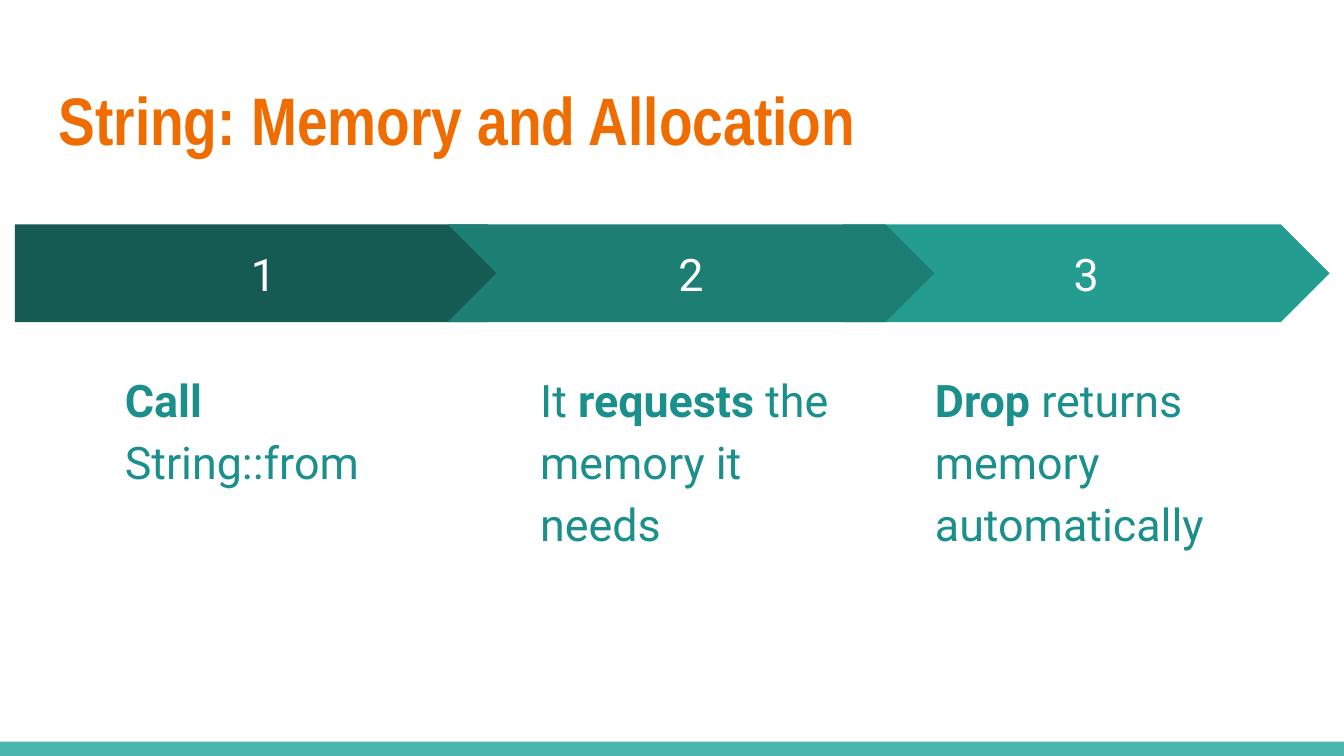
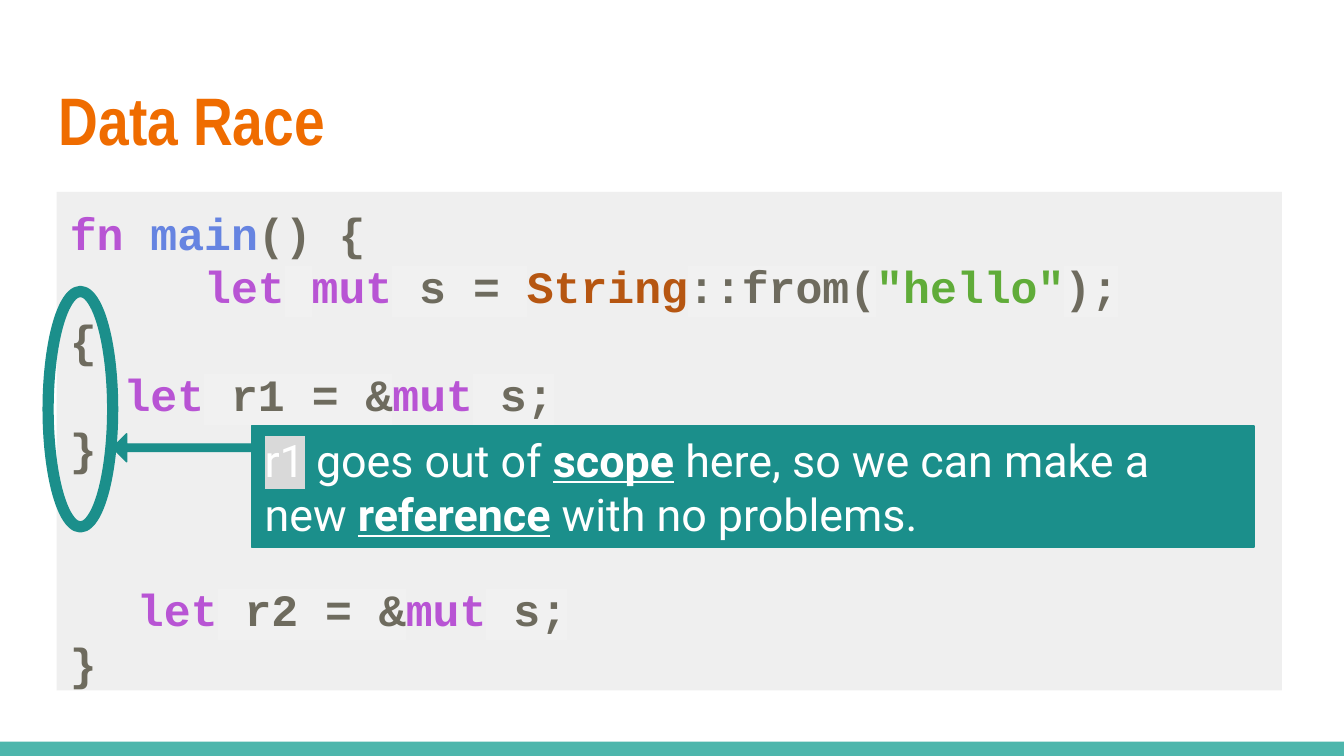
from dataclasses import dataclass, replace
from typing import Optional

import pptx
import pptx.dml.color
import pptx.enum.shapes
import pptx.enum.text
import pptx.oxml.ns
import pptx.util
from lxml import etree

Cm = pptx.util.Cm
Pt = pptx.util.Pt
Shape = pptx.enum.shapes.MSO_SHAPE
Align = pptx.enum.text.PP_ALIGN
Anchor = pptx.enum.text.MSO_ANCHOR
qn = pptx.oxml.ns.qn


@dataclass(frozen=True)
class Theme:
    title: str = "EF6C00"
    band: str = "4DB6AC"
    teal: str = "1B8F8B"
    white: str = "FFFFFF"
    steps: tuple = ("155B54", "1D7E74", "249C90")
    code_panel: str = "EFEFEF"
    code_plain: str = "6E6B5E"
    code_keyword: str = "B854D4"
    code_function: str = "6684E1"
    code_type: str = "B65611"
    code_string: str = "60AC39"
    code_mark: str = "F1F1F1"
    name_mark: str = "D9D9D9"
    title_font: str = "Arial Narrow"
    body_font: str = "Roboto"
    code_font: str = "Courier New"
    title_size: int = 36
    body_size: int = 24


THEME = Theme()


@dataclass(frozen=True)
class Box:
    left: float
    top: float
    width: float
    height: float

    def lengths(self) -> tuple:
        return Cm(self.left), Cm(self.top), Cm(self.width), Cm(self.height)


@dataclass(frozen=True)
class Span:
    text: str
    color: Optional[str] = None
    bold: Optional[bool] = None
    underline: bool = False
    mark: Optional[str] = None


@dataclass(frozen=True)
class Line:
    spans: tuple
    first_indent: float = 0
    tab_stop: float = 0
    space_before: float = 0


@dataclass(frozen=True)
class Step:
    number: str
    kind: Shape
    fill: str
    arrow_left: float
    arrow_width: float
    text_left: float
    spans: tuple
    align: Align = Align.LEFT


PAGE_WIDTH, PAGE_HEIGHT = 25.4, 14.29
BAND = Box(0, 14.02, PAGE_WIDTH, 0.27)
TITLE = Box(0.86, 1.24, 23.67, 1.96)
INSET = 0.25


def rgb(color: str) -> pptx.dml.color.RGBColor:
    return pptx.dml.color.RGBColor.from_string(color)


def add_child(parent, tag: str, **attributes):
    return etree.SubElement(parent, qn(tag), **attributes)


def write_text(shape, lines, *, font=THEME.body_font, size=THEME.body_size,
               color=THEME.white, bold=False, align=Align.LEFT,
               anchor=Anchor.TOP, line_spacing=None) -> None:
    frame = shape.text_frame
    frame.word_wrap = True
    frame.vertical_anchor = anchor
    frame.margin_left = frame.margin_right = Cm(INSET)
    frame.margin_top = frame.margin_bottom = Cm(INSET)
    for index, line in enumerate(lines):
        paragraph = frame.add_paragraph() if index else frame.paragraphs[0]
        properties = paragraph._p.get_or_add_pPr()
        if line.tab_stop:
            stops = add_child(properties, "a:tabLst")
            add_child(stops, "a:tab", pos=str(Cm(line.tab_stop)), algn="l")
        if line.first_indent:
            properties.set("marL", "0")
            properties.set("indent", str(Cm(line.first_indent)))
        if line.space_before:
            paragraph.space_before = Pt(line.space_before)
        if line_spacing:
            paragraph.line_spacing = line_spacing
        paragraph.alignment = align
        for span in line.spans:
            run = paragraph.add_run()
            run.text = span.text
            run.font.name = font
            run.font.size = Pt(size)
            run.font.bold = bold if span.bold is None else span.bold
            run.font.underline = span.underline
            run.font.color.rgb = rgb(span.color or color)
            if span.mark:
                highlight = etree.Element(qn("a:highlight"))
                add_child(highlight, "a:srgbClr", val=span.mark)
                run._r.rPr.find(qn("a:solidFill")).addnext(highlight)


def add_figure(slide, kind: Shape, box: Box, *, fill: Optional[str] = None,
               line: Optional[str] = None, line_width: float = 0.75,
               adjustments: tuple = ()):
    shape = slide.shapes.add_shape(kind, *box.lengths())
    shape.shadow.inherit = False
    if fill:
        shape.fill.solid()
        shape.fill.fore_color.rgb = rgb(fill)
    else:
        shape.fill.background()
    if line:
        shape.line.color.rgb = rgb(line)
        shape.line.width = Pt(line_width)
    else:
        shape.line.fill.background()
    for index, value in enumerate(adjustments):
        shape.adjustments[index] = value
    return shape


def add_text(slide, box: Box, spans: tuple, **text_format) -> None:
    write_text(slide.shapes.add_textbox(*box.lengths()), [Line(spans)], **text_format)


def add_titled_slide(presentation, title: str):
    slide = presentation.slides.add_slide(presentation.slide_layouts[6])
    add_figure(slide, Shape.RECTANGLE, BAND, fill=THEME.band)
    add_text(slide, TITLE, (Span(title),), font=THEME.title_font,
             size=THEME.title_size, color=THEME.title, bold=True)
    return slide


def add_step(slide, step: Step) -> None:
    arrow = add_figure(slide, step.kind, Box(step.arrow_left, 4.24, step.arrow_width, 1.85),
                       fill=step.fill, adjustments=(0.5,))
    write_text(arrow, [Line((Span(step.number),))], align=Align.CENTER,
               anchor=Anchor.MIDDLE)
    add_text(slide, Box(step.text_left, 6.65, 6.22, 7.26), step.spans,
             color=THEME.teal, align=step.align, line_spacing=1.15)


def build_allocation_slide(presentation) -> None:
    slide = add_titled_slide(presentation, "String: Memory and Allocation")
    call = Step("1", Shape.PENTAGON, THEME.steps[0], 0.28, 9.86, 2.11,
                (Span("Call ", bold=True), Span("String::from")), Align.JUSTIFY)
    request = Step("2", Shape.CHEVRON, THEME.steps[1], 8.46, 9.2, 9.96,
                   (Span("It "), Span("requests ", bold=True),
                    Span("the memory it needs")))
    drop = Step("3", Shape.CHEVRON, THEME.steps[2], 15.93, 9.2, 17.42,
                (Span("Drop ", bold=True), Span("returns memory automatically")))
    for step in (drop, call, request):
        add_step(slide, step)


def keyword(text: str) -> Span:
    return Span(text, THEME.code_keyword)


def marked(text: str) -> Span:
    return Span(text, mark=THEME.code_mark)


def borrow(name: str) -> tuple:
    return keyword("let"), marked(f" {name} = &"), keyword("mut"), marked(" s;")


def build_data_race_slide(presentation) -> None:
    slide = add_titled_slide(presentation, "Data Race")
    code = [
        Line((keyword("fn "), Span("main", THEME.code_function), Span("() {"))),
        Line((Span(" \t"), keyword("let"), marked(" "), keyword("mut"), marked(" s = "),
              Span("String", THEME.code_type), marked("::from("),
              Span('"hello"', THEME.code_string), marked(");")), tab_stop=2.54),
        Line((Span("{"),)),
        Line((Span("  "), *borrow("r1"))),
        Line((Span("}"),)),
        Line(borrow("r2"), first_indent=1.27, space_before=57.6),
        Line((Span("}"),)),
    ]
    panel = add_figure(slide, Shape.RECTANGLE, Box(1.07, 3.63, 23.16, 9.42),
                       fill=THEME.code_panel)
    write_text(panel, code, font=THEME.code_font, color=THEME.code_plain, bold=True)

    callout = add_figure(slide, Shape.RECTANGLE, Box(4.75, 8.05, 18.95, 2.29),
                         fill=THEME.teal, line=THEME.teal)
    strong = Span("scope", bold=True, underline=True)
    write_text(callout, [Line((
        Span("r1", mark=THEME.name_mark), Span(" goes out of "), strong,
        Span(" here, so we can make a new "), replace(strong, text="reference"),
        Span(" with no problems.")))], anchor=Anchor.MIDDLE)
    add_figure(slide, Shape.LEFT_ARROW, Box(2.13, 8.2, 2.77, 0.53),
               fill=THEME.teal, line=THEME.teal, adjustments=(0.27, 0.5))
    add_figure(slide, Shape.OVAL, Box(0.91, 5.51, 1.22, 4.45),
               line=THEME.teal, line_width=6)


def main() -> None:
    presentation = pptx.Presentation()
    presentation.slide_width = Cm(PAGE_WIDTH)
    presentation.slide_height = Cm(PAGE_HEIGHT)
    build_allocation_slide(presentation)
    build_data_race_slide(presentation)
    presentation.save("out.pptx")


if __name__ == "__main__":
    main()
